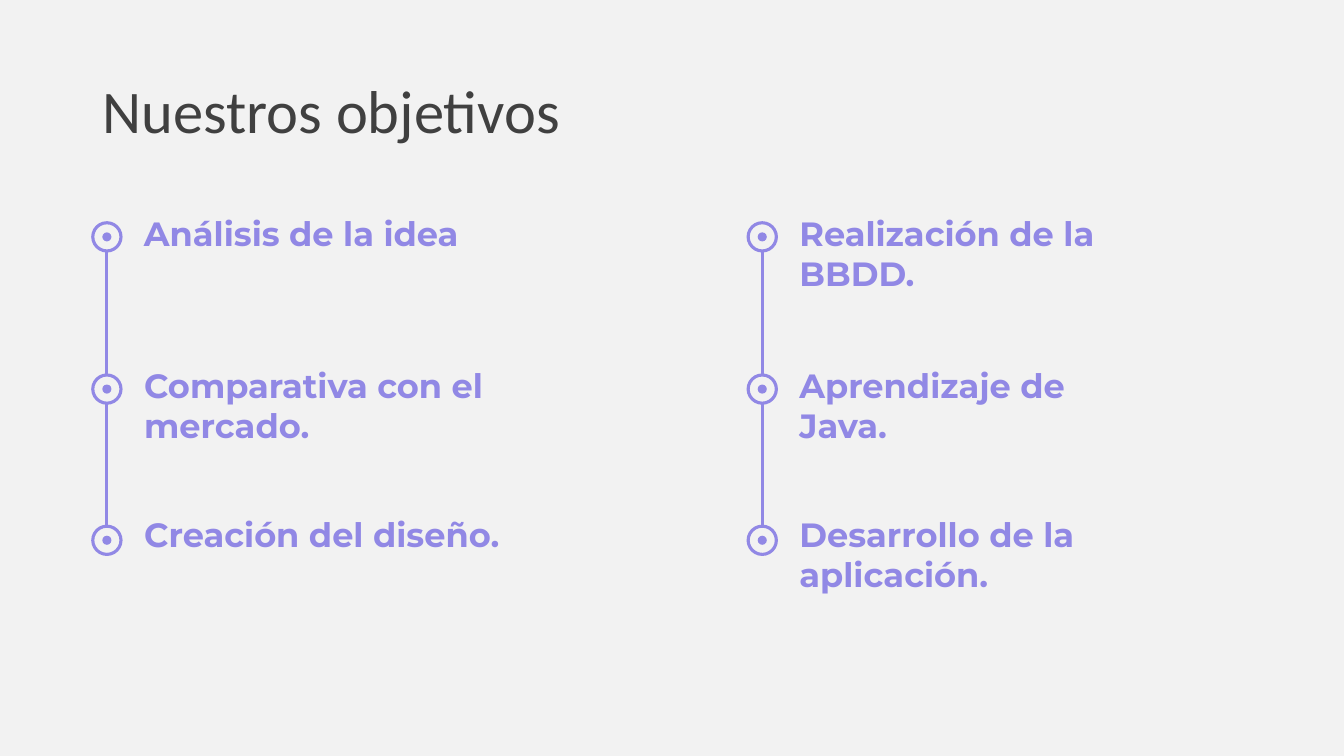
from dataclasses import dataclass

from lxml import etree
from pptx import Presentation, util as u
from pptx.dml.color import RGBColor
from pptx.enum import shapes, text
from pptx.oxml import ns

PX = 9144
COLORS = {"background": "F2F2F2", "title": "404040", "accent": "9188E5"}
LINE_WIDTH = u.Pt(2.25)
RING, DOT = 28, 9
COLUMN_AXES = (106, 756)
ROW_CENTERS = (235, 386, 536)
LABEL_TOPS = (206, 357, 505)
LABEL_OFFSET = 27


@dataclass(frozen=True)
class Goal:
    label: str
    column: int
    row: int
    width: int
    height: int


GOALS = (
    Goal("Análisis de la idea", 0, 0, 436, 50),
    Goal("Comparativa con el mercado.", 0, 1, 382, 91),
    Goal("Creación del diseño.", 0, 2, 429, 50),
    Goal("Realización de la BBDD.", 1, 0, 362, 91),
    Goal("Aprendizaje de Java.", 1, 1, 353, 91),
    Goal("Desarrollo de la aplicación.", 1, 2, 362, 91),
)
TITLE_FONT = {"name": "Calibri", "size": u.Pt(43.2), "bold": False}
LABEL_FONT = {"name": "Montserrat", "size": u.Pt(24), "bold": True}


def px(n: int) -> u.Emu:
    return u.Emu(n * PX)


def color(name: str) -> RGBColor:
    return RGBColor.from_string(COLORS[name])


def add_text(s, words: str, box: tuple[int, int, int, int], font: dict,
             color_name: str, anchor, spacing: float):
    tf = s.shapes.add_textbox(*map(px, box)).text_frame
    tf.word_wrap = True
    tf.vertical_anchor = anchor
    p = tf.paragraphs[0]
    p.line_spacing = spacing
    r = p.add_run()
    r.text = words
    for key, value in font.items():
        setattr(r.font, key, value)
    r.font.color.rgb = color(color_name)


def add_circle(s, x: int, y: int, size: int, filled: bool):
    left, top = (u.Emu(int((c - size / 2) * PX)) for c in (x, y))
    sp = s.shapes.add_shape(shapes.MSO_SHAPE.OVAL, left, top, px(size), px(size))
    sp.shadow.inherit = False
    if filled:
        sp.fill.solid()
        sp.fill.fore_color.rgb = color("accent")
        sp.line.fill.background()
    else:
        sp.fill.background()
        sp.line.color.rgb = color("accent")
        sp.line.width = LINE_WIDTH


def add_link(s, x: int, top: int, bottom: int):
    sp = s.shapes.add_connector(
        shapes.MSO_CONNECTOR.STRAIGHT, px(x), px(top), px(x), px(bottom))
    sp.line.color.rgb = color("accent")
    sp.line.width = LINE_WIDTH
    etree.SubElement(sp._element.spPr, ns.qn("a:effectLst"))


def add_goal(s, goal: Goal):
    x, y = COLUMN_AXES[goal.column], ROW_CENTERS[goal.row]
    add_circle(s, x, y, DOT, True)
    add_circle(s, x, y, RING, False)
    box = (x + LABEL_OFFSET, LABEL_TOPS[goal.row], goal.width, goal.height)
    add_text(s, goal.label, box, LABEL_FONT, "accent", text.MSO_ANCHOR.TOP, 1.0)


def main():
    prs = Presentation()
    prs.slide_width, prs.slide_height = px(1333), px(750)
    s = prs.slides.add_slide(prs.slide_layouts[6])
    s.background.fill.solid()
    s.background.fill.fore_color.rgb = color("background")
    add_text(s, "Nuestros objetivos", (92, 40, 612, 145), TITLE_FONT, "title",
             text.MSO_ANCHOR.MIDDLE, 0.9)
    for x in COLUMN_AXES:
        for upper, lower in zip(ROW_CENTERS, ROW_CENTERS[1:]):
            add_link(s, x, upper + RING // 2, lower - RING // 2)
    for goal in GOALS:
        add_goal(s, goal)
    prs.save("out.pptx")


if __name__ == "__main__":
    main()
